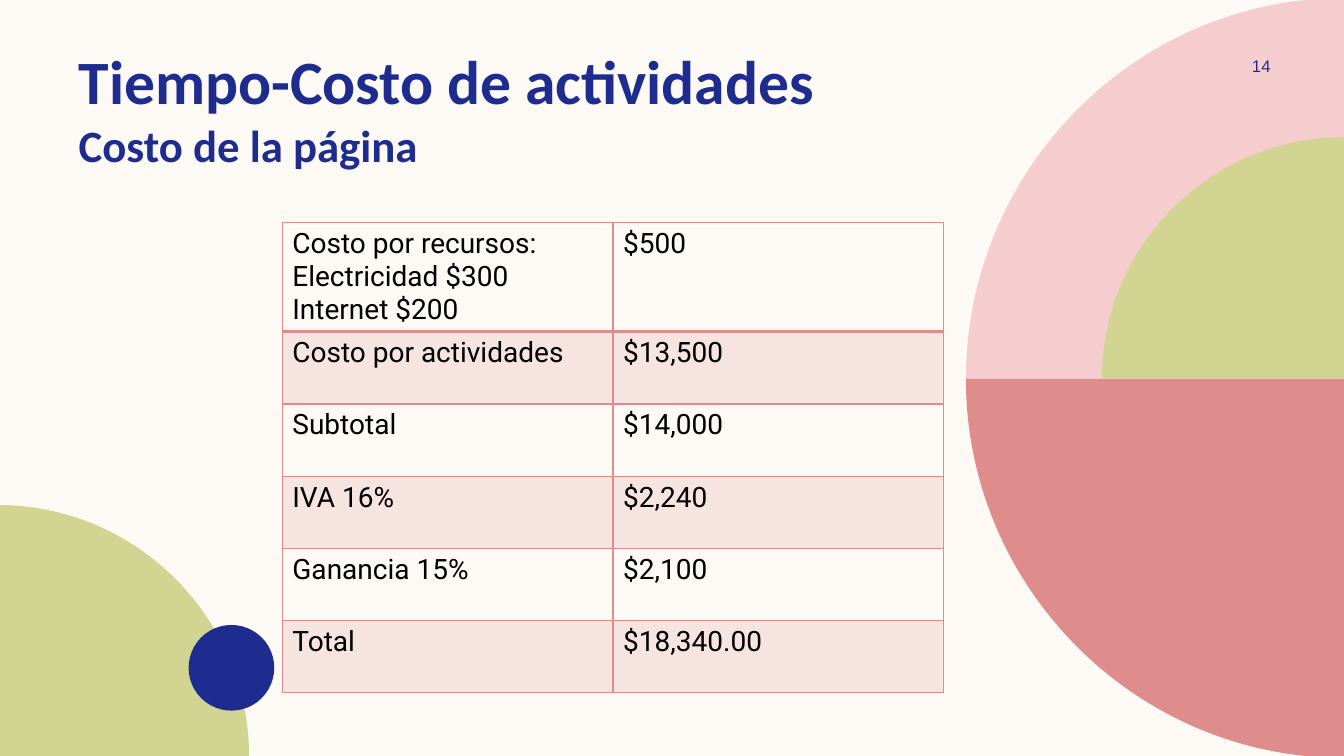
from lxml import etree
from pptx import Presentation
from pptx.dml.color import RGBColor
from pptx.enum.shapes import MSO_SHAPE
from pptx.enum.text import MSO_ANCHOR, MSO_AUTO_SIZE, PP_ALIGN
from pptx.oxml.ns import qn
from pptx.util import Inches, Pt

OVAL = MSO_SHAPE.OVAL
TOP, MIDDLE = MSO_ANCHOR.TOP, MSO_ANCHOR.MIDDLE
LEFT, CENTER = PP_ALIGN.LEFT, PP_ALIGN.CENTER
NO_AUTOFIT = MSO_AUTO_SIZE.NONE
TITLE_ONLY = 5
WIDTH, HEIGHT = 13.33, 7.5
ARC_PULL = 0.55  # length of a quarter arc's Bezier handle, in radii

COLORS = {
    "cream": "FDFAF6",
    "pink": "F5CDCE",
    "rose": "DE8C8C",
    "green": "D2D592",
    "navy": "1F2C8F",
    "black": "000000",
}

COSTS = [
    ("Costo por recursos:\nElectricidad $300\nInternet $200", "$500"),
    ("Costo por actividades", "$13,500"),
    ("Subtotal", "$14,000"),
    ("IVA 16%", "$2,240"),
    ("Ganancia 15%", "$2,100"),
    ("Total", "$18,340.00"),
]


class CostPage:
    """Draws styled elements on one slide."""

    def __init__(self, deck):
        self.page = deck.slides.add_slide(deck.slide_layouts[TITLE_ONLY])
        self.shapes = self.page.shapes
        self.paint(self.page.background.fill, "cream")

    def paint(self, fill, color):
        fill.solid()
        fill.fore_color.rgb = RGBColor.from_string(COLORS[color])

    def style(self, font, name, size, color, bold=False):
        font.name, font.size, font.bold = name, Pt(size), bold
        font.color.rgb = RGBColor.from_string(COLORS[color])

    def finish(self, shape, color):
        self.paint(shape.fill, color)
        shape.line.fill.background()
        shape.shadow.inherit = False

    def quarter(self, start, end, center, color):
        """Quarter disc: an arc from start to end, closed through the center."""
        start, end, center = [(Inches(x), Inches(y)) for x, y in (start, end, center)]
        builder = self.shapes.build_freeform(*start)
        builder.add_line_segments([end, center], close=True)
        shape = builder.convert_to_shape()
        self.bend_first_side(shape)
        self.finish(shape, color)

    def bend_first_side(self, shape):
        points = list(shape._element.iter(qn("a:pt")))
        (ax, ay), (bx, by), (cx, cy) = [
            (int(point.get("x")), int(point.get("y"))) for point in points]
        curve = [
            (ax + ARC_PULL * (bx - cx), ay + ARC_PULL * (by - cy)),
            (bx + ARC_PULL * (ax - cx), by + ARC_PULL * (ay - cy)),
            (bx, by),
        ]
        side = points[1].getparent()
        arc = etree.Element(qn("a:cubicBezTo"))
        for x, y in curve:
            etree.SubElement(arc, qn("a:pt"), x=str(round(x)), y=str(round(y)))
        side.getparent().replace(side, arc)

    def disc(self, left, top, size, color):
        shape = self.shapes.add_shape(
            OVAL, Inches(left), Inches(top), Inches(size), Inches(size))
        self.finish(shape, color)

    def title(self, left, top, width, height, lines):
        box = self.shapes.title
        box.left, box.top = Inches(left), Inches(top)
        box.width, box.height = Inches(width), Inches(height)
        frame = box.text_frame
        frame.auto_size, frame.vertical_anchor = NO_AUTOFIT, TOP
        para = frame.paragraphs[0]
        para.alignment, para.line_spacing = LEFT, 1.0
        for index, (text, size) in enumerate(lines):
            if index:
                para.add_line_break()
            span = para.add_run()
            span.text = text
            self.style(span.font, "Calibri", size, "navy", bold=True)

    def label(self, left, top, width, height, text):
        box = self.shapes.add_textbox(
            Inches(left), Inches(top), Inches(width), Inches(height))
        frame = box.text_frame
        frame.word_wrap, frame.vertical_anchor = True, MIDDLE
        para = frame.paragraphs[0]
        para.text, para.alignment = text, CENTER
        self.style(para.font, "Arial", 12, "navy")

    def border(self, cell, side, points):
        line = etree.SubElement(cell._tc.get_or_add_tcPr(), qn(f"a:ln{side}"),
                                w=str(Pt(points)))
        fill = etree.SubElement(line, qn("a:solidFill"))
        etree.SubElement(fill, qn("a:srgbClr"), val=COLORS["rose"])

    def tint(self, cell, percent):
        self.paint(cell.fill, "rose")
        color = cell._tc.tcPr.find(f"{qn('a:solidFill')}/{qn('a:srgbClr')}")
        etree.SubElement(color, qn("a:alpha"), val=str(percent * 1000))

    def table(self, left, top, width, height, rows):
        """Even grid; the first row grows to fit its three lines."""
        table = self.shapes.add_table(
            len(rows), len(rows[0]), Inches(left), Inches(top),
            Inches(width), Inches(height)).table
        table.first_row = table.horz_banding = False
        for row_index, row in enumerate(rows):
            for column_index, text in enumerate(row):
                cell = table.cell(row_index, column_index)
                cell.text = text
                for para in cell.text_frame.paragraphs:
                    self.style(para.font, "Roboto", 20, "black")
                # The rule under the first row is thicker
                weights = {"L": 1, "R": 1, "T": 2 if row_index == 1 else 1,
                           "B": 2 if row_index == 0 else 1}
                for side, points in weights.items():
                    self.border(cell, side, points)
                if row_index % 2:
                    self.tint(cell, 20)
                else:
                    cell.fill.background()


def main():
    deck = Presentation()
    deck.slide_width, deck.slide_height = Inches(WIDTH), Inches(HEIGHT)
    page = CostPage(deck)

    # Decorative circles
    page.quarter((WIDTH, -0.02), (9.58, 3.76), (WIDTH, 3.76), "pink")
    page.quarter((9.58, 3.76), (WIDTH, 7.52), (WIDTH, 3.76), "rose")
    page.quarter((10.93, 3.75), (WIDTH, 1.36), (WIDTH, 3.75), "green")
    page.quarter((-0.02, 5.01), (2.47, HEIGHT), (-0.02, HEIGHT), "green")
    page.disc(1.87, 6.2, 0.85, "navy")

    # Heading
    page.title(0.68, 0.38, 9.55, 0.84,
               [("Tiempo-Costo de actividades", 44), ("Costo de la página", 32)])

    # Cost breakdown
    page.table(2.8, 2.21, 6.56, 4.3, COSTS)

    # Page number
    page.label(11.97, 0.5, 1.08, 0.3, "14")

    deck.save("out.pptx")


if __name__ == "__main__":
    main()
